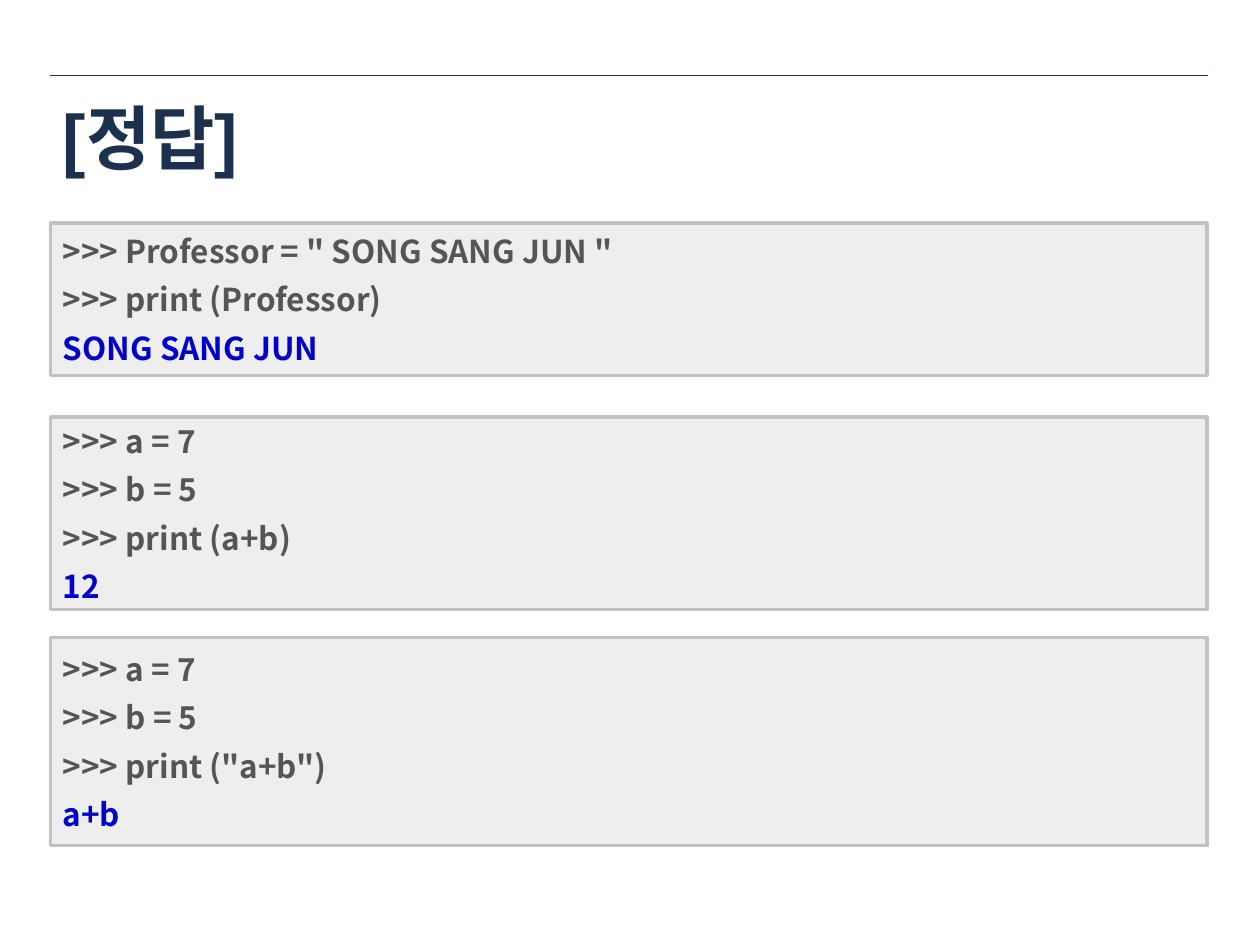
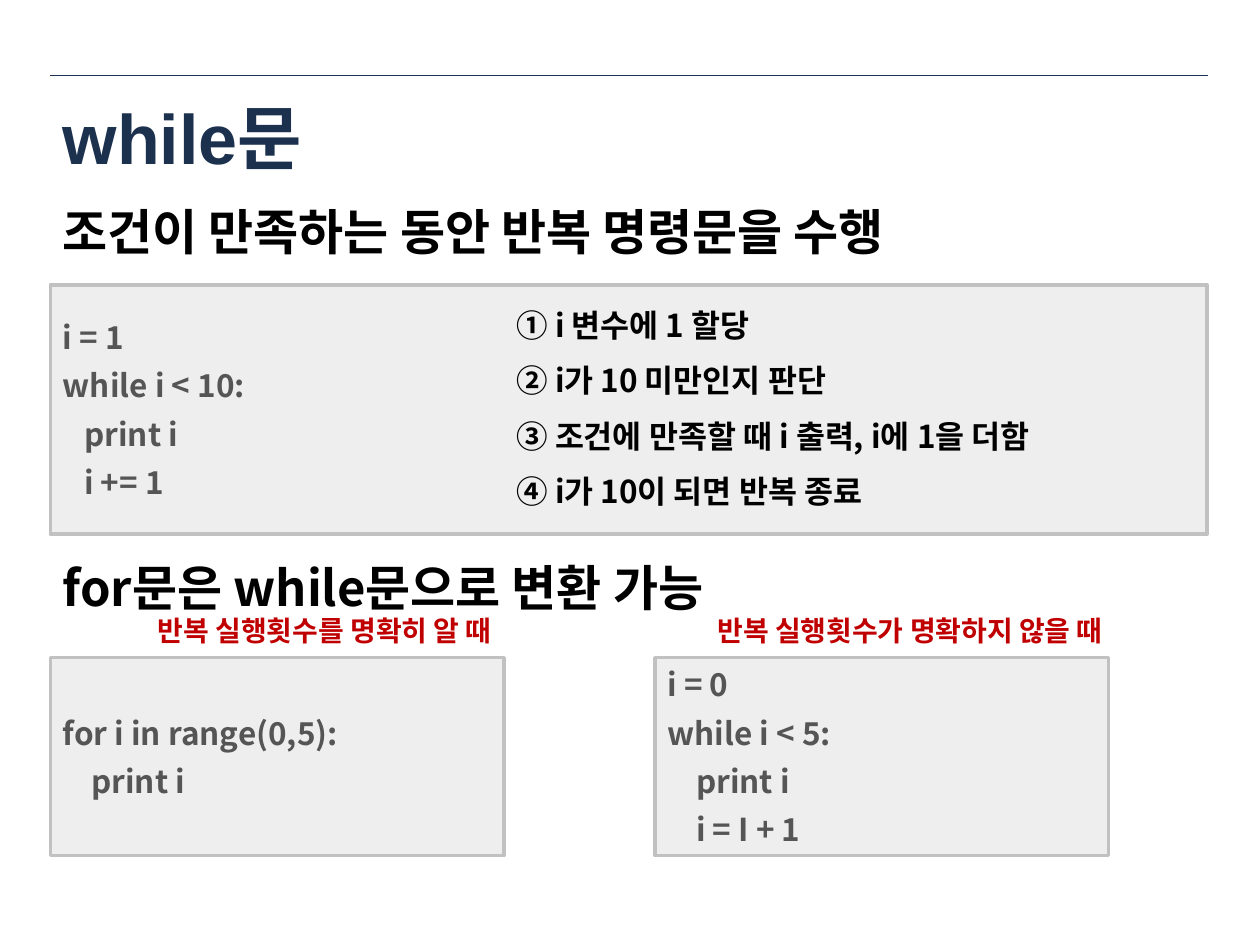
import pptx
import pptx.dml.color
import pptx.enum.shapes
import pptx.enum.text
import pptx.oxml
import pptx.oxml.ns
import pptx.util

Inches = pptx.util.Inches
Pt = pptx.util.Pt
ALIGN = pptx.enum.text.PP_ALIGN
ANCHOR = pptx.enum.text.MSO_ANCHOR

KOREAN_FONT = "Noto Sans CJK KR"
NAVY, PANEL, BORDER = "1C314E", "EEEEEE", "C1C1C1"
CODE, OUTPUT, BLACK, RED = "555555", "0000CC", "000000", "C00000"
LEFT, FULL_WIDTH = 0.4, 9.18
HALF_WIDTH, HALF_TOP, HALF_HEIGHT = 3.6, 5.22, 1.57
LINE_RATIO = 1.2

TITLE = {"size": 40, "face": "Arial", "color": NAVY, "exact": False}
HEADING = {"size": 28, "color": BLACK, "after": 10}
STEPS = {"size": 18, "color": BLACK, "after": 10}
CAPTION = {"size": 16, "color": RED, "after": 6, "align": ALIGN.RIGHT}
LISTING = {"size": 18, "color": CODE, "after": 6}


def rgb(color):
    """Turn a hex string into a colour."""
    return pptx.dml.color.RGBColor.from_string(color)


def set_values(target, values):
    """Set each named value on the target."""
    for name, value in values.items():
        setattr(target, name, value)


def write_line(paragraph, line, size, color, after=0, face=KOREAN_FONT,
               align=ALIGN.LEFT, exact=True):
    """Write one bold line into a paragraph."""
    set_values(paragraph, {"alignment": align, "space_after": Pt(after)})
    if exact:
        paragraph.line_spacing = Pt(size * LINE_RATIO)
    run = paragraph.add_run()
    run.text = line
    set_values(run.font, {"size": Pt(size), "bold": True, "name": face})
    run.font.color.rgb = rgb(color)
    east_asian = pptx.oxml.parse_xml(
        f'<a:ea {pptx.oxml.ns.nsdecls("a")} typeface="{KOREAN_FONT}"/>')
    run.font._element.append(east_asian)


def write_lines(frame, lines, style, anchor=ANCHOR.TOP, last_color=None):
    """Fill a text frame, with an optional colour for the last line."""
    set_values(frame, {"word_wrap": True, "vertical_anchor": anchor})
    for index, line in enumerate(lines):
        paragraph = frame.add_paragraph() if index else frame.paragraphs[0]
        is_last = index == len(lines) - 1
        color = last_color if last_color and is_last else style["color"]
        write_line(paragraph, line, **{**style, "color": color})


def add_text(slide, place, lines, style, anchor=ANCHOR.TOP):
    """Add a text box."""
    box = slide.shapes.add_textbox(*map(Inches, place))
    write_lines(box.text_frame, lines, style, anchor)


def add_code(slide, place, lines, last_color=None):
    """Add a grey panel of code."""
    panel = slide.shapes.add_shape(
        pptx.enum.shapes.MSO_SHAPE.RECTANGLE, *map(Inches, place))
    panel.shadow.inherit = False
    panel.fill.solid()
    panel.fill.fore_color.rgb = rgb(PANEL)
    panel.line.color.rgb = rgb(BORDER)
    panel.line.width = Pt(2)
    write_lines(panel.text_frame, lines, LISTING, ANCHOR.MIDDLE, last_color)


def add_titled_slide(deck, title):
    """Add a slide with the top rule and a title."""
    slide = deck.slides.add_slide(deck.slide_layouts[6])
    rule = slide.shapes.add_connector(
        pptx.enum.shapes.MSO_CONNECTOR.STRAIGHT,
        *map(Inches, (LEFT, 0.6, 9.59, 0.6)))
    rule.line.color.rgb = rgb(NAVY)
    rule.line.width = Pt(0.25)
    rule._element.spPr.append(pptx.oxml.parse_xml(
        f'<a:effectLst {pptx.oxml.ns.nsdecls("a")}/>'))
    add_text(slide, (LEFT, 0.62, FULL_WIDTH, 0.93), [title], TITLE,
             ANCHOR.MIDDLE)
    return slide


def build_answers(deck):
    """Build the slide of interpreter answers."""
    slide = add_titled_slide(deck, "[정답]")
    assignments = [">>> a = 7", ">>> b = 5"]
    answers = [
        (1.77, 1.21, ['>>> Professor = " SONG SANG JUN "',
                      ">>> print (Professor)", "SONG SANG JUN"]),
        (3.31, 1.53, assignments + [">>> print (a+b)", "12"]),
        (5.06, 1.65, assignments + ['>>> print ("a+b")', "a+b"]),
    ]
    for top, height, lines in answers:
        add_code(slide, (LEFT, top, FULL_WIDTH, height), lines, OUTPUT)


def build_while(deck):
    """Build the slide on the while statement."""
    slide = add_titled_slide(deck, "while문")
    add_code(slide, (LEFT, 2.26, FULL_WIDTH, 1.98),
             ["i = 1", "while i < 10:", "   print i", "   i += 1"])
    add_text(slide, (4, 2.38, 5.73, 1.73),
             ["① i 변수에 1 할당", "② i가 10 미만인지 판단",
              "③ 조건에 만족할 때 i 출력, i에 1을 더함",
              "④ i가 10이 되면 반복 종료"], STEPS)
    headings = [(1.55, "조건이 만족하는 동안 반복 명령문을 수행"),
                (4.38, "for문은 while문으로 변환 가능")]
    for top, heading in headings:
        add_text(slide, (LEFT, top, 9.6, 0.57), [heading], HEADING)
    loops = [
        (LEFT, ["for i in range(0,5):", "    print i"],
         0.5, 3.5, "반복 실행횟수를 명확히 알 때"),
        (5.2, ["i = 0", "while i < 5:", "    print i", "    i = I + 1"],
         4.95, 3.9, "반복 실행횟수가 명확하지 않을 때"),
    ]
    for left, lines, caption_left, caption_width, caption in loops:
        add_code(slide, (left, HALF_TOP, HALF_WIDTH, HALF_HEIGHT), lines)
        add_text(slide, (caption_left, 4.82, caption_width, 0.37), [caption],
                 CAPTION)


def main():
    """Build and save the deck."""
    deck = pptx.Presentation()
    set_values(deck, {"slide_width": Inches(10), "slide_height": Inches(7.5)})
    build_answers(deck)
    build_while(deck)
    deck.save("out.pptx")


if __name__ == "__main__":
    main()
